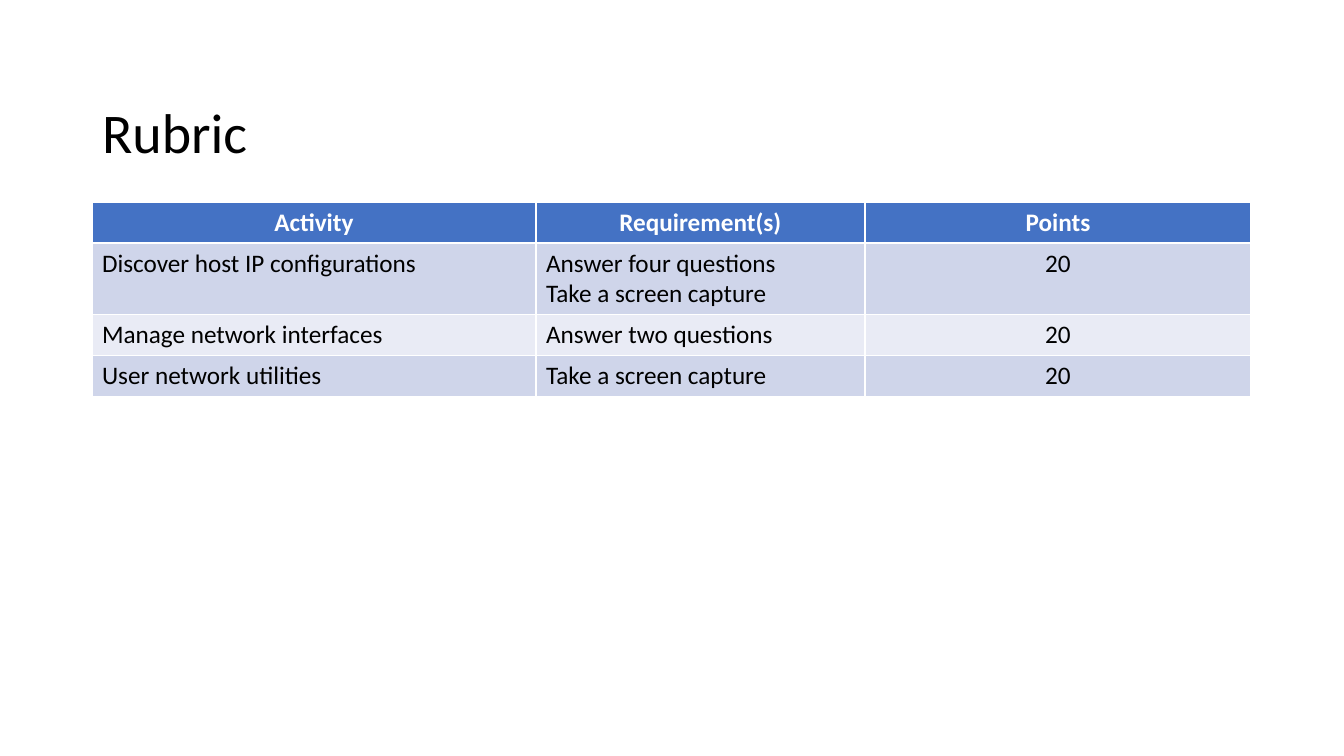
import pptx
import pptx.dml.color
import pptx.enum.text
import pptx.util

TITLE = "Rubric"
HEADINGS = ("Activity", "Requirement(s)", "Points")
ACTIVITIES = [
    ("Discover host IP configurations", "Answer four questions\nTake a screen capture", "20"),
    ("Manage network interfaces", "Answer two questions", "20"),
    ("User network utilities", "Take a screen capture", "20"),
]
COLORS = {"header": "4472C4", "odd": "CFD5EA", "even": "E9EBF5",
          "text": "000000", "header_text": "FFFFFF"}
FONT = "Calibri"

# Lengths in px
SLIDE_WIDTH, SLIDE_HEIGHT = 1344, 756
LEFT, TITLE_TOP, TITLE_HEIGHT, TABLE_TOP = 92, 84, 102, 202
COLUMN_WIDTHS = (444, 329, 386)
ROW_HEIGHT, LINE_HEIGHT = 41, 30
PX_PER_INCH = 100.8
ALIGN = pptx.enum.text.PP_ALIGN


def px(length):
    return pptx.util.Inches(length / PX_PER_INCH)


def color(name):
    return pptx.dml.color.RGBColor.from_string(COLORS[name])


def format_paragraph(paragraph, size, color_name, alignment, bold=False):
    paragraph.alignment = alignment
    paragraph.font.name = FONT
    paragraph.font.size = pptx.util.Pt(size)
    paragraph.font.bold = bold
    paragraph.font.color.rgb = color(color_name)


def add_title(slide):
    title = slide.shapes.title
    title.left, title.top = px(LEFT), px(TITLE_TOP)
    title.width, title.height = px(sum(COLUMN_WIDTHS)), px(TITLE_HEIGHT)
    title.text_frame.text = TITLE
    title.text_frame.vertical_anchor = pptx.enum.text.MSO_ANCHOR.MIDDLE
    paragraph = title.text_frame.paragraphs[0]
    paragraph.line_spacing = 0.9
    format_paragraph(paragraph, 40, "text", ALIGN.LEFT)


def add_rubric(slide):
    rows = [HEADINGS, *ACTIVITIES]
    heights = [ROW_HEIGHT + LINE_HEIGHT * max(text.count("\n") for text in row)
               for row in rows]
    table = slide.shapes.add_table(
        len(rows), len(HEADINGS), px(LEFT), px(TABLE_TOP),
        px(sum(COLUMN_WIDTHS)), px(sum(heights))).table
    for column, width in zip(table.columns, COLUMN_WIDTHS):
        column.width = px(width)
    for row_index, row in enumerate(rows):
        table.rows[row_index].height = px(heights[row_index])
        is_header = row_index == 0
        fill = "header" if is_header else "odd" if row_index % 2 else "even"
        for column_index, text in enumerate(row):
            cell = table.cell(row_index, column_index)
            cell.fill.solid()
            cell.fill.fore_color.rgb = color(fill)
            cell.text_frame.text = text
            centred = is_header or HEADINGS[column_index] == "Points"
            for paragraph in cell.text_frame.paragraphs:
                format_paragraph(paragraph, 18, "header_text" if is_header else "text",
                                 ALIGN.CENTER if centred else ALIGN.LEFT, is_header)


def main():
    presentation = pptx.Presentation()
    presentation.slide_width = px(SLIDE_WIDTH)
    presentation.slide_height = px(SLIDE_HEIGHT)
    title_only = presentation.slide_layouts.get_by_name("Title Only")
    slide = presentation.slides.add_slide(title_only)
    add_title(slide)
    add_rubric(slide)
    presentation.save("out.pptx")


if __name__ == "__main__":
    main()
